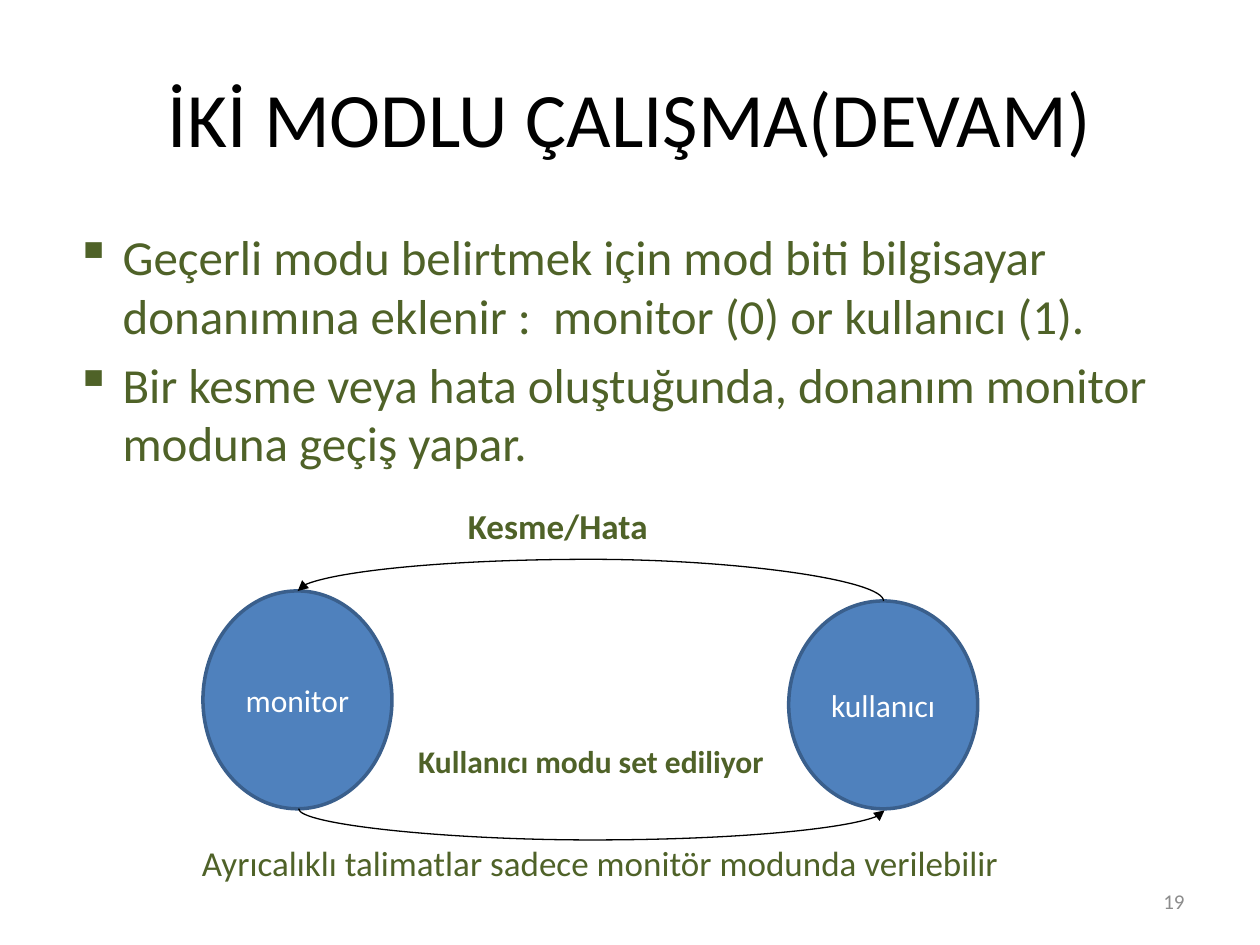
"""Build the slide on two-mode operation: monitor and user states."""
from lxml import etree
from pptx import Presentation
from pptx.dml.color import RGBColor
from pptx.enum.shapes import MSO_CONNECTOR, MSO_SHAPE
from pptx.enum.text import MSO_ANCHOR, PP_ALIGN
from pptx.oxml.ns import qn
from pptx.util import Pt

CURVE = MSO_CONNECTOR.CURVE
OVAL = MSO_SHAPE.OVAL
TOP, MIDDLE = MSO_ANCHOR.TOP, MSO_ANCHOR.MIDDLE
LEFT, CENTER, RIGHT = PP_ALIGN.LEFT, PP_ALIGN.CENTER, PP_ALIGN.RIGHT
FONT, GREEN, BLACK, WHITE = "Calibri", "4F6228", "000000", "FFFFFF"
BLUE, DARK_BLUE, GRAY = "4F81BD", "3A5F8C", "8C8C8C"

TITLE = "İKİ MODLU ÇALIŞMA(DEVAM)"
BULLETS = [
    "Geçerli modu belirtmek için mod biti bilgisayar donanımına eklenir :  monitor (0) or kullanıcı (1).",
    "Bir kesme veya hata oluştuğunda, donanım monitor moduna geçiş yapar.",
]
LABELS = [
    ("Kesme/Hata", (267.4, 288, 110, 24), 20, True),
    ("Kullanıcı modu set ediliyor", (238.9, 423, 204, 24), 18, True),
    ("Ayrıcalıklı talimatlar sadece monitör modunda verilebilir", (115.4, 481, 464, 24), 20, False),
]
STATES = [
    ("monitor", (116, 337.7, 108, 124.5)),
    ("kullanıcı", (450.7, 343.4, 108, 118.8)),
]
ARROWS = [
    {"center": (338, 462.6), "rise": 1, "bend": 18, "flip": "flipH"},
    {"center": (337.5, 340.6), "rise": 5.7, "bend": 4.18, "flip": "flipV"},
]
ARROW_SPAN = 334.8


def color(value):
    """Turn a hex string into a colour."""
    return RGBColor.from_string(value)


def write(shape, *lines, size, ink=GREEN, bold=False, align=LEFT, anchor=MIDDLE,
          inset=None, bullet=None, before=0):
    """Put formatted paragraphs into a shape."""
    frame = shape.text_frame
    frame.word_wrap = True
    frame.vertical_anchor = anchor
    if inset is not None:
        frame.margin_left = frame.margin_right = Pt(inset)
        frame.margin_top = frame.margin_bottom = Pt(inset)
    for index, line in enumerate(lines):
        para = frame.add_paragraph() if index else frame.paragraphs[0]
        para.alignment = align
        para.space_before = Pt(before)
        span = para.add_run()
        span.text = line
        span.font.name, span.font.size, span.font.bold = FONT, Pt(size), bold
        span.font.color.rgb = color(ink)
        if bullet:
            settings = para._p.get_or_add_pPr()
            settings.set("marL", str(Pt(27)))
            settings.set("indent", str(Pt(-27)))
            etree.SubElement(settings, qn("a:buChar")).set("char", bullet)


def add_text(page, area, *lines, **style):
    """Add a text box."""
    write(page.shapes.add_textbox(*map(Pt, area)), *lines, **style)


def add_state(page, name, area):
    """Add an ellipse for a mode."""
    oval = page.shapes.add_shape(OVAL, *map(Pt, area))
    oval.shadow.inherit = False
    oval.fill.solid()
    oval.fill.fore_color.rgb = color(BLUE)
    oval.line.color.rgb = color(DARK_BLUE)
    oval.line.width = Pt(2)
    write(oval, name, size=18, ink=WHITE, align=CENTER)


def add_arrow(page, center, rise, bend, flip):
    """Add a curved arrow, turned a quarter about its center."""
    x, y = center
    ends = (x - rise / 2, y - ARROW_SPAN / 2, x + rise / 2, y + ARROW_SPAN / 2)
    arrow = page.shapes.add_connector(CURVE, *map(Pt, ends))
    arrow.line.color.rgb = color(BLACK)
    arrow.line.width = Pt(0.75)
    properties = arrow._element.spPr
    frame = properties.find(qn("a:xfrm"))
    frame.set("rot", str(270 * 60000))
    frame.set(flip, "1")
    guides = properties.find(qn("a:prstGeom")).get_or_add_avLst()
    guide = etree.SubElement(guides, qn("a:gd"))
    guide.set("name", "adj1")
    guide.set("fmla", f"val {round(bend * 100000)}")
    etree.SubElement(properties.find(qn("a:ln")), qn("a:tailEnd")).set("type", "triangle")
    etree.SubElement(properties, qn("a:effectLst"))


def main():
    """Build and save the deck."""
    deck = Presentation()
    deck.slide_width, deck.slide_height = Pt(720), Pt(540)
    page = deck.slides.add_slide(deck.slide_layouts[6])
    add_text(page, (36, 21.6, 648, 90), TITLE, size=44, ink=BLACK, align=CENTER)
    add_text(page, (36, 126, 648, 150), *BULLETS, size=28, anchor=TOP, bullet="▪", before=5.6)
    add_text(page, (516, 500.4, 168, 28.8), "19", size=12, ink=GRAY, align=RIGHT)
    for text, area, size, bold in LABELS:
        add_text(page, area, text, size=size, bold=bold, inset=0)
    for name, area in STATES:
        add_state(page, name, area)
    for arrow in ARROWS:
        add_arrow(page, **arrow)
    deck.save("out.pptx")


if __name__ == "__main__":
    main()
